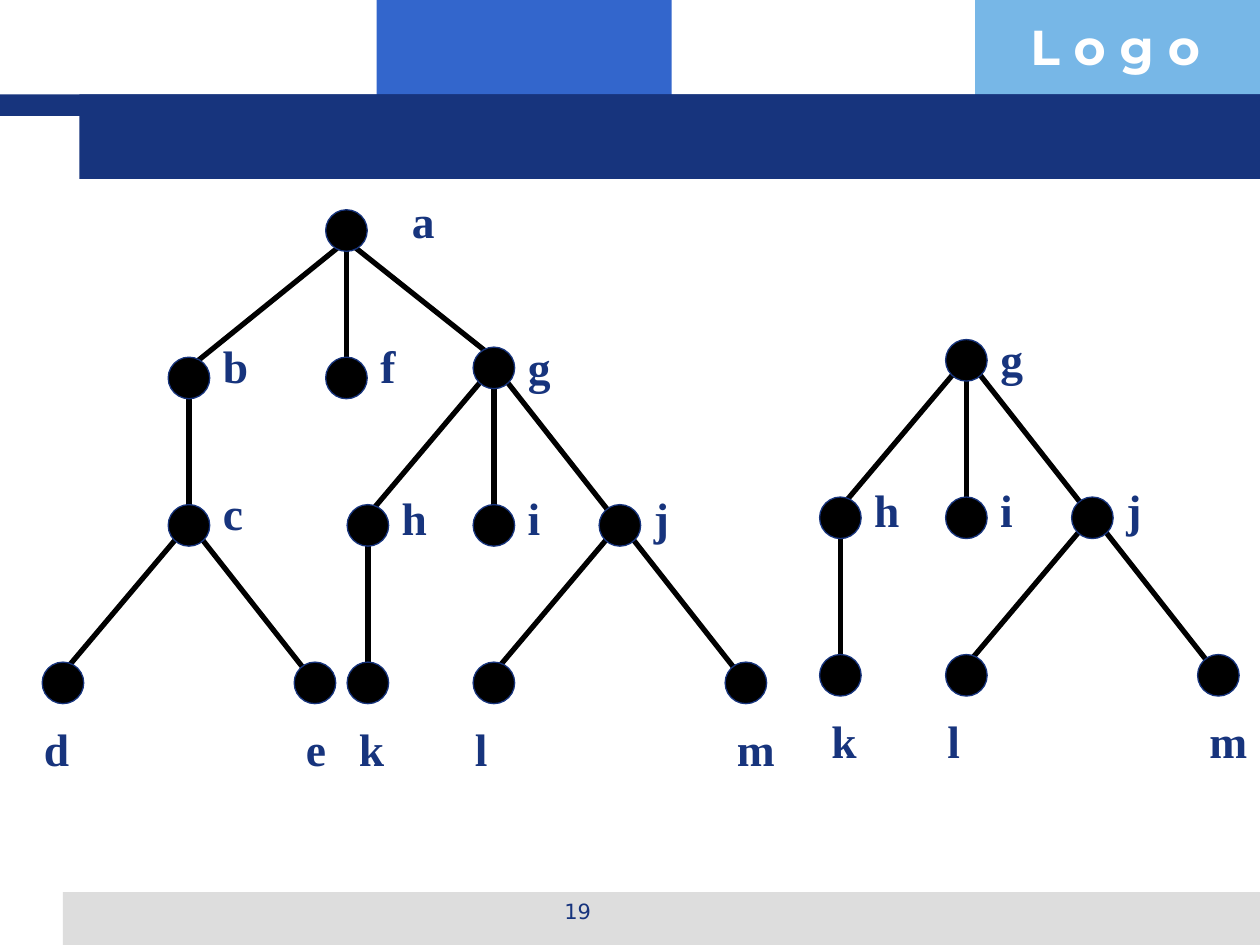
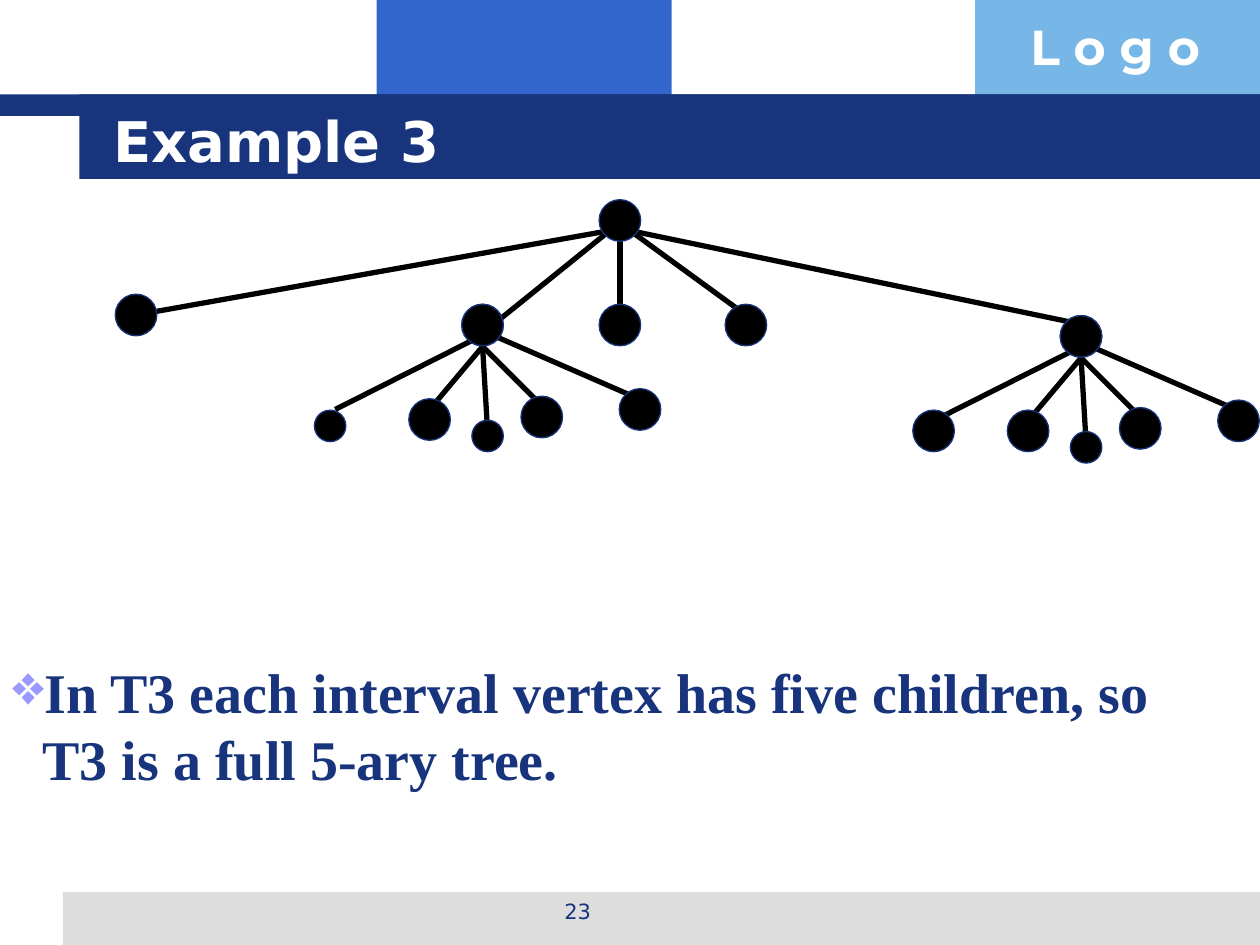
from dataclasses import dataclass, replace
from lxml import etree
from pptx import Presentation
from pptx.dml.color import RGBColor as Rgb
from pptx.enum.shapes import MSO_CONNECTOR as Con, MSO_SHAPE as Shp
from pptx.enum.text import MSO_ANCHOR as Anc, PP_ALIGN as Al
from pptx.oxml.ns import qn
from pptx.util import Inches, Pt

# Shared colours and fonts
NAVY, BLUE, SKY, GREY = "17347D", "3366CC", "77B7E7", "DDDDDD"
BLACK, WHITE, LILAC = "000000", "FFFFFF", "9999FF"
SANS, SERIF, BRAND = "DejaVu Sans", "Times New Roman", "Montserrat"

Pair = tuple[float, float]

# Where an edge leaves its parent, and where it meets its child
LEFT, DOWN, RIGHT, FOOT = (-.08, .08), (0, .08), (.08, .08), (0, .17)
MID, TOP = (0, 0), (0, -.08)

# Where a label box starts, seen from the centre of its vertex
SIDE, HIGH, LOW, UNDER = (.17, -.33), (.17, -.37), (-.17, .25), (-.25, .25)
WIDTHS = {"a": .38, "g": .38, "c": .36, "e": .36, "f": .32, "j": .32,
          "i": .3, "l": .3, "m": .5}


@dataclass(frozen=True)
class Band:
    x: float
    y: float
    w: float
    h: float
    fill: str


@dataclass(frozen=True)
class Style:
    size: int
    font: str
    color: str
    bold: bool = True


@dataclass(frozen=True)
class Node:
    name: str
    x: float
    y: float
    up: str = ""
    out: Pair = DOWN
    tip: Pair = MID
    tag: Pair | None = None
    size: float = .33


BANDS = [
    Band(2.99, 0, 2.34, .92, BLUE),
    Band(7.74, 0, 2.26, .92, SKY),
    Band(.5, 7.08, 9.5, .42, GREY),
    Band(0, .75, 10, .17, NAVY),
    Band(.63, .75, 9.37, .67, NAVY),
]

LOGO = Style(28, BRAND, WHITE)
HEAD = Style(32, SANS, WHITE)
PAGE = Style(12, SANS, NAVY, False)
BODY = Style(32, SERIF, NAVY)
MARK = Style(26, SERIF, NAVY)

# The labelled tree and its subtree at g
CROWN = [
    Node("a", 2.75, 1.83, tag=(.42, -.35)),
    Node("b", 1.5, 3, "a", DOWN, TOP, HIGH),
    Node("f", 2.75, 3, "a", DOWN, MID, HIGH),
    Node("c", 1.5, 4.17, "b", DOWN, MID, HIGH),
    Node("d", .5, 5.42, "c", LEFT, TOP, UNDER),
    Node("e", 2.5, 5.42, "c", RIGHT, MID, LOW),
]
BRANCH = [
    Node("g", 3.92, 2.92, "a", DOWN, TOP, (.17, -.28)),
    Node("h", 2.92, 4.17, "g", LEFT, TOP, SIDE),
    Node("i", 3.92, 4.17, "g", DOWN, MID, SIDE),
    Node("j", 4.92, 4.17, "g", RIGHT, MID, SIDE),
    Node("k", 2.92, 5.42, "h", DOWN, MID, LOW),
    Node("l", 3.92, 5.42, "j", LEFT, TOP, UNDER),
    Node("m", 5.92, 5.42, "j", RIGHT, MID, LOW),
]

# The 5-ary tree: root level, then five children placed around their parent
ROOT = [
    Node("root", 4.92, 1.75),
    Node("one", 1.08, 2.5, "root", LEFT),
    Node("two", 3.83, 2.58, "root", LEFT, (.08, 0)),
    Node("three", 4.92, 2.58, "root"),
    Node("four", 5.92, 2.58, "root", RIGHT, TOP),
    Node("five", 8.58, 2.67, "root", RIGHT, (.08, -.08)),
]
FIVE = [
    Node("v", -1.17, .75, "hub", DOWN, TOP),
    Node("w", -.42, .75, "hub", FOOT, TOP),
    Node("x", .04, .88, "hub", FOOT, (0, -.04), size=.25),
    Node("y", .47, .73, "hub", FOOT, (.02, -.07)),
    Node("z", 1.25, .67, "hub", RIGHT, TOP),
]
SMALL = replace(FIVE[0], x=-1.21, y=.8, tip=(.04, -.13), size=.25)


def paint(fmt, color: str) -> None:
    """Give a fill, or the colour of a font, one solid colour."""
    if hasattr(fmt, "solid"):
        fmt.solid()
        fmt = fmt.fore_color
    fmt.rgb = Rgb.from_string(color)


def block(slide, kind, x: float, y: float, w: float, h: float, fill: str):
    shape = slide.shapes.add_shape(kind, Inches(x), Inches(y), Inches(w), Inches(h))
    shape.shadow.inherit = False
    paint(shape.fill, fill)
    shape.line.fill.background()
    return shape


def write(slide, text: str, x: float, y: float, w: float, h: float,
          style: Style, wrap: bool = True):
    box = slide.shapes.add_textbox(Inches(x), Inches(y), Inches(w), Inches(h))
    frame = box.text_frame
    frame.word_wrap = wrap
    frame.text = text
    font = frame.paragraphs[0].runs[0].font
    font.size, font.name, font.bold = Pt(style.size), style.font, style.bold
    paint(font.color, style.color)
    return frame


def edge(slide, start: Pair, end: Pair) -> None:
    line = slide.shapes.add_connector(
        Con.STRAIGHT, *(Inches(v) for v in (*start, *end)))
    paint(line.line.fill, BLACK)
    line.line.width = Pt(3)
    etree.SubElement(line._element.spPr, qn("a:effectLst"))


def tree(slide, nodes: list[Node], dx: float = 0, dy: float = 0) -> None:
    """Draw edges, vertices and labels, all moved by dx and dy."""
    spots = {n.name: (n.x + dx, n.y + dy) for n in nodes}
    for n in nodes:
        x, y = spots[n.name]
        if n.up in spots:
            px, py = spots[n.up]
            edge(slide, (px + n.out[0], py + n.out[1]),
                 (x + n.tip[0], y + n.tip[1]))
    for n in nodes:
        x, y = spots[n.name]
        half = n.size / 2
        dot = block(slide, Shp.OVAL, x - half, y - half, n.size, n.size, BLACK)
        paint(dot.line.fill, NAVY)
        dot.line.width = Pt(.75)
        if n.tag:
            write(slide, n.name, x + n.tag[0], y + n.tag[1],
                  WIDTHS.get(n.name, .4), .54, MARK, wrap=False)


def bullet(para) -> None:
    props = para._p.get_or_add_pPr()
    props.set("marL", str(Inches(.24)))
    props.set("indent", str(-Inches(.24)))
    tint = etree.SubElement(props, qn("a:buClr"))
    etree.SubElement(tint, qn("a:srgbClr"), val=LILAC)
    etree.SubElement(props, qn("a:buChar"), char="❖")


def page(deck, number: int, title: str = ""):
    """Add a slide with bands, logo text, page number and title."""
    slide = deck.slides.add_slide(deck.slide_layouts[6])
    for b in BANDS:
        block(slide, Shp.RECTANGLE, b.x, b.y, b.w, b.h, b.fill)
    write(slide, "L o g o", 8.08, .08, 1.93, .57, LOGO)
    foot = write(slide, str(number), 3.42, 7.08, 2.33, .35, PAGE)
    foot.paragraphs[0].alignment = Al.CENTER
    if title:
        head = write(slide, title, .8, .8, 8.53, .62, HEAD)
        head.vertical_anchor = Anc.MIDDLE
    return slide


def main() -> None:
    deck = Presentation()
    deck.slide_width, deck.slide_height = Inches(10), Inches(7.5)

    # A rooted tree beside the subtree at g
    slide = page(deck, 19)
    tree(slide, CROWN + BRANCH)
    tree(slide, BRANCH, 3.75, -.06)

    # A full 5-ary tree
    slide = page(deck, 23, "Example 3")
    text = write(slide, "In T3 each interval vertex has five children, so "
                 "T3 is a full 5-ary tree.", 0, 5.17, 9.58, 1.17, BODY)
    bullet(text.paragraphs[0])
    tree(slide, ROOT)
    for hub, first in ((ROOT[2], SMALL), (ROOT[5], FIVE[0])):
        kids = [first, *FIVE[1:]]
        spot = {"hub": Node("hub", 0, 0)}
        tree(slide, [*spot.values(), *kids], hub.x, hub.y)

    deck.save("out.pptx")


if __name__ == "__main__":
    main()
